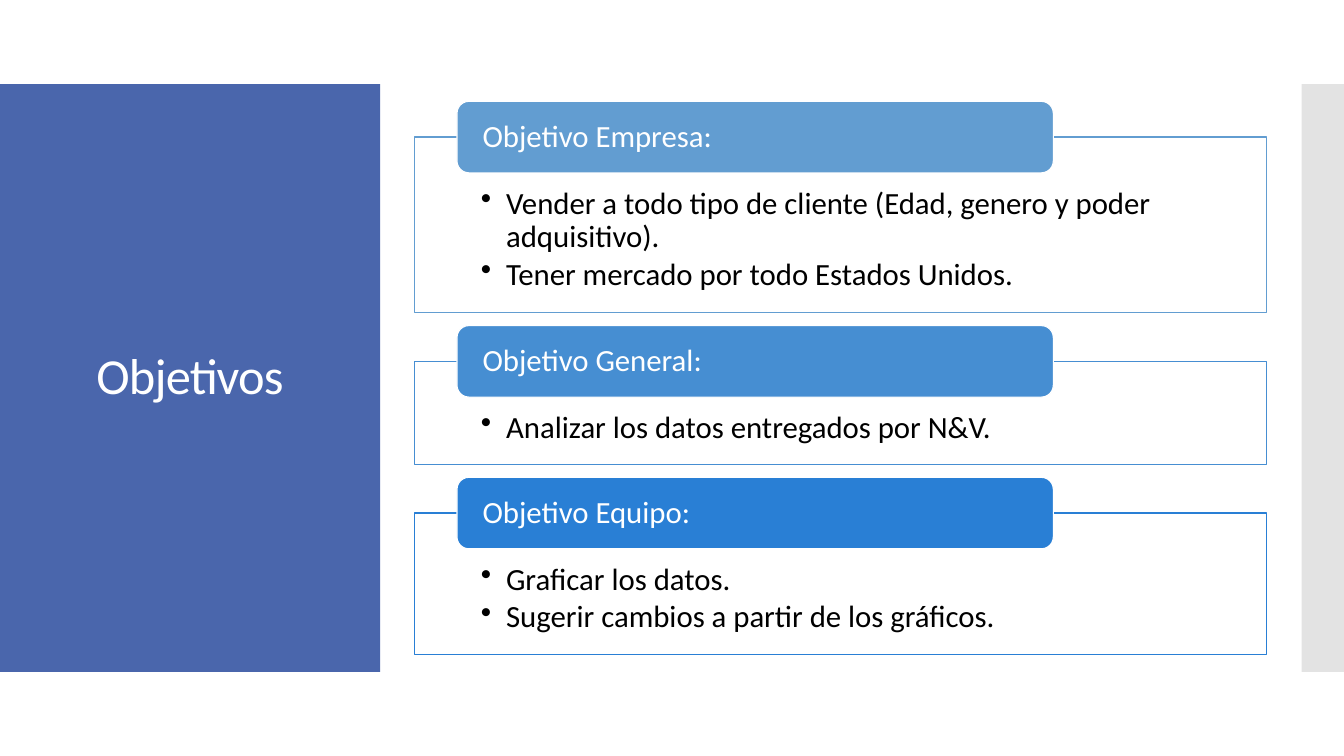
from lxml import etree
from pptx import Presentation
from pptx.dml.color import RGBColor
from pptx.enum.shapes import MSO_SHAPE
from pptx.enum.text import MSO_ANCHOR, PP_ALIGN
from pptx.oxml.ns import qn
from pptx.util import Inches, Pt

RECT, ROUNDED = MSO_SHAPE.RECTANGLE, MSO_SHAPE.ROUNDED_RECTANGLE
TOP, MIDDLE = MSO_ANCHOR.TOP, MSO_ANCHOR.MIDDLE
LEFT, CENTER = PP_ALIGN.LEFT, PP_ALIGN.CENTER

WIDTH, HEIGHT = 13.33, 7.5
BAND_TOP, BAND_HEIGHT = HEIGHT / 9, HEIGHT * 7 / 9
PANEL_WIDTH, EDGE_WIDTH = 3.77, 0.42
BOX_LEFT, BOX_WIDTH, FIRST_BOX_TOP, BOX_GAP = 4.11, 8.45, 1.36, 0.485
TAB_HEIGHT = 0.71
TAB_LEFT, TAB_WIDTH = BOX_LEFT + BOX_WIDTH * 0.05, BOX_WIDTH * 0.7

# Heading, colour, box height, bullet points
OBJECTIVES = [
    ("Objetivo Empresa:", "629DD1", 1.74,
     ["Vender a todo tipo de cliente (Edad, genero y poder adquisitivo).",
      "Tener mercado por todo Estados Unidos."]),
    ("Objetivo General:", "468ED2", 1.02,
     ["Analizar los datos entregados por N&V."]),
    ("Objetivo Equipo:", "297FD5", 1.4,
     ["Graficar los datos.",
      "Sugerir cambios a partir de los gráficos."]),
]


def rgb(color):
    return RGBColor.from_string(color)


def add_block(slide, kind, left, top, width, height, fill, line=None, alpha=None):
    block = slide.shapes.add_shape(
        kind, Inches(left), Inches(top), Inches(width), Inches(height))
    block.shadow.inherit = False
    block.fill.solid()
    block.fill.fore_color.rgb = rgb(fill)
    if alpha is not None:
        tint = block.fill._xPr.find(qn("a:solidFill"))[0]
        etree.SubElement(tint, qn("a:alpha"), val=str(alpha * 1000))
    if line:
        block.line.color.rgb = rgb(line)
        block.line.width = Pt(0.85)
    else:
        block.line.fill.background()
    return block


def add_bullet(paragraph):
    properties = paragraph._p.get_or_add_pPr()
    properties.set("marL", str(Inches(0.25)))
    properties.set("indent", str(-Inches(0.25)))
    etree.SubElement(properties, qn("a:buChar"), char="•")


def write(block, lines, size, color, insets, anchor=MIDDLE, align=LEFT,
          bullets=False, space_after=0):
    frame = block.text_frame
    frame.word_wrap = True
    frame.vertical_anchor = anchor
    (frame.margin_left, frame.margin_top,
     frame.margin_right, frame.margin_bottom) = map(Inches, insets)
    for index, line in enumerate(lines):
        paragraph = frame.add_paragraph() if index else frame.paragraphs[0]
        paragraph.text = line
        paragraph.alignment = align
        paragraph.line_spacing = 0.9
        paragraph.space_after = Pt(space_after)
        if bullets:
            add_bullet(paragraph)
        paragraph.font.name = "Calibri"
        paragraph.font.size = Pt(size)
        paragraph.font.color.rgb = rgb(color)


def add_title_panel(slide, title):
    panel = add_block(slide, RECT, 0, BAND_TOP, PANEL_WIDTH, BAND_HEIGHT, "4A66AC")
    write(panel, [title], 36, "FFFFFF", (0.38, 0.4, 0.38, 0.4), align=CENTER)
    # Slightly tightened letters
    for run in panel.text_frame.paragraphs[0].runs:
        run._r.get_or_add_rPr().set("spc", "-60")


def add_objective(slide, top, heading, color, height, points):
    box = add_block(slide, RECT, BOX_LEFT, top, BOX_WIDTH, height,
                    "FFFFFF", line=color, alpha=90)
    write(box, points, 22, "000000", (0.66, 0.5, 0.66, 0.17), anchor=TOP,
          bullets=True, space_after=3.3)
    # The heading tab straddles the upper edge of its box
    tab = add_block(slide, ROUNDED, TAB_LEFT, top - TAB_HEIGHT / 2,
                    TAB_WIDTH, TAB_HEIGHT, color, line="FFFFFF")
    write(tab, [heading], 22, "FFFFFF", (0.22, 0, 0.22, 0))


def main():
    deck = Presentation()
    deck.slide_width, deck.slide_height = Inches(WIDTH), Inches(HEIGHT)
    slide = deck.slides.add_slide(deck.slide_layouts[6])

    # Side bands
    add_title_panel(slide, "Objetivos")
    add_block(slide, RECT, WIDTH - EDGE_WIDTH, BAND_TOP, EDGE_WIDTH, BAND_HEIGHT,
              "C8C8C8", alpha=50)

    # Objectives, stacked with equal gaps
    top = FIRST_BOX_TOP
    for heading, color, height, points in OBJECTIVES:
        add_objective(slide, top, heading, color, height, points)
        top += height + BOX_GAP

    deck.save("out.pptx")


if __name__ == "__main__":
    main()
